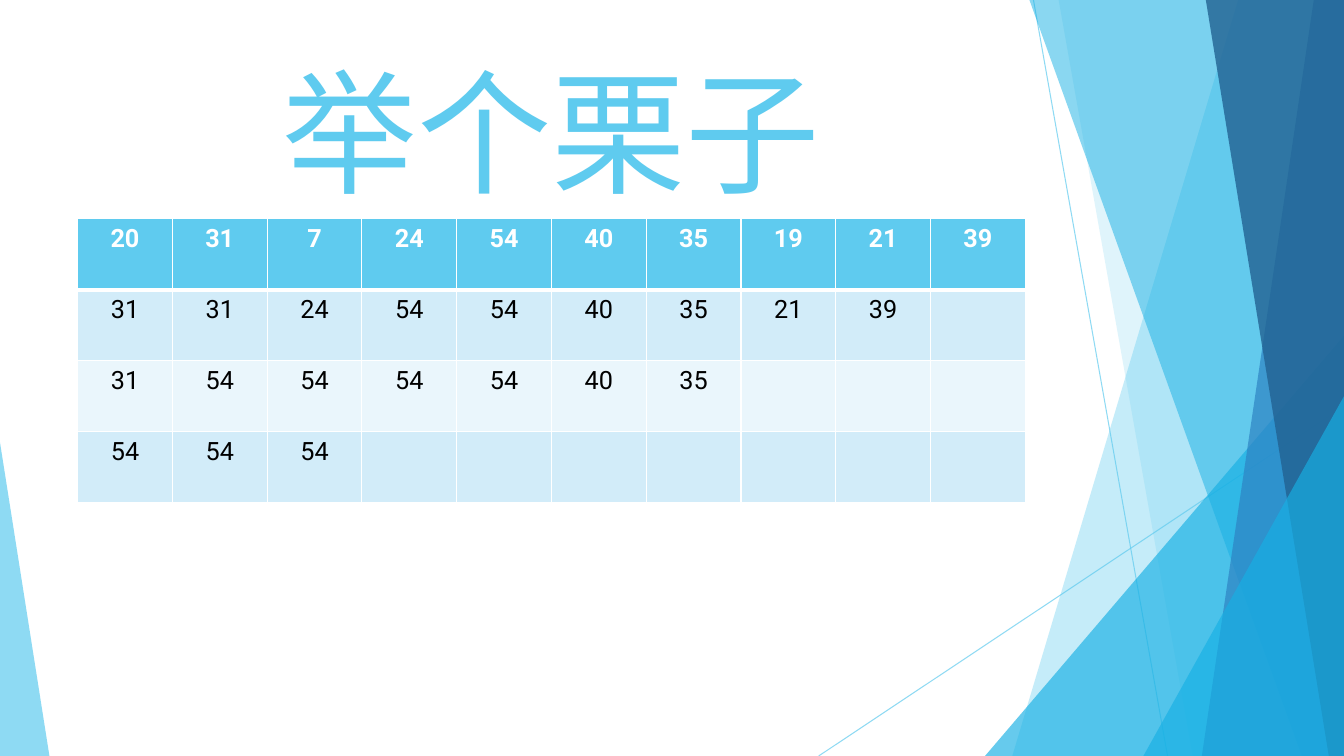
from dataclasses import dataclass

from lxml.etree import SubElement
from pptx import Presentation
from pptx.dml.color import RGBColor
from pptx.enum.shapes import MSO_CONNECTOR, MSO_SHAPE
from pptx.enum.text import MSO_ANCHOR, PP_ALIGN
from pptx.oxml.ns import qn
from pptx.util import Inches, Pt


@dataclass(frozen=True)
class Theme:
    sky: str = "5FCBEF"
    cyan: str = "17B0E4"
    blue: str = "2E83C3"
    navy: str = "226292"
    white: str = "FFFFFF"
    black: str = "000000"
    bands: tuple[str, str] = ("D2ECF9", "EAF6FC")
    font: str = "Roboto"
    title_size: int = 96
    cell_size: int = 18


@dataclass(frozen=True)
class Ray:
    start: tuple[float, float]
    end: tuple[float, float]


@dataclass(frozen=True)
class Facet:
    """A panel that runs from its slanted left side to the slide's right edge."""
    top_x: float
    bottom_x: float
    color: str
    opacity: int


@dataclass(frozen=True)
class Corner:
    """A right triangle standing on the slide's bottom edge."""
    left: float
    top: float
    width: float
    apex: float
    color: str
    opacity: int


THEME = Theme()
WIDTH, HEIGHT = 13.33, 7.5
LEFT, CONTENT_WIDTH = 0.77, 9.4

RAYS = [Ray((10.25, 0), (11.58, HEIGHT)), Ray((WIDTH, 4.03), (8.12, HEIGHT))]
DECORATION = [
    Facet(12.28, 10.04, THEME.sky, 36),
    Facet(10.5, 11.83, THEME.sky, 20),
    Corner(9.77, 3.33, 3.56, 1, THEME.cyan, 66),
    Facet(10.21, 12.91, THEME.cyan, 50),
    Facet(13.03, 11.92, THEME.blue, 70),
    Facet(11.96, 13.18, THEME.navy, 80),
    Corner(11.34, 3.93, 1.99, 1, THEME.cyan, 66),
    Corner(0, 4.39, 0.49, 0, THEME.sky, 70),
]
ROWS = [
    [20, 31, 7, 24, 54, 40, 35, 19, 21, 39],
    [31, 31, 24, 54, 54, 40, 35, 21, 39],
    [31, 54, 54, 54, 54, 40, 35],
    [54, 54, 54],
]


def set_opacity(properties, percent: int) -> None:
    color = next(properties.iter(qn("a:srgbClr")))
    SubElement(color, qn("a:alpha"), val=str(percent * 1000))


def paint(shape, color: str, opacity: int) -> None:
    shape.shadow.inherit = False
    shape.fill.solid()
    shape.fill.fore_color.rgb = RGBColor.from_string(color)
    set_opacity(shape.fill._xPr, opacity)
    shape.line.fill.background()


def draw_ray(page, ray: Ray) -> None:
    points = [Inches(value) for value in (*ray.start, *ray.end)]
    line = page.shapes.add_connector(MSO_CONNECTOR.STRAIGHT, *points)
    line.line.color.rgb = RGBColor.from_string(THEME.sky)
    line.line.width = Pt(0.75)
    set_opacity(line.line._ln, 70)
    SubElement(line._element.spPr, qn("a:effectLst"))


def draw_facet(page, facet: Facet) -> None:
    builder = page.shapes.build_freeform(Inches(facet.top_x), 0)
    corners = [(WIDTH, 0), (WIDTH, HEIGHT), (facet.bottom_x, HEIGHT)]
    builder.add_line_segments([(Inches(x), Inches(y)) for x, y in corners], close=True)
    paint(builder.convert_to_shape(), facet.color, facet.opacity)


def draw_corner(page, corner: Corner) -> None:
    shape = page.shapes.add_shape(
        MSO_SHAPE.ISOSCELES_TRIANGLE, Inches(corner.left), Inches(corner.top),
        Inches(corner.width), Inches(HEIGHT - corner.top))
    shape.adjustments[0] = corner.apex
    paint(shape, corner.color, corner.opacity)


def write(para, text: str, size: int, color: str, bold: bool = False) -> None:
    para.alignment = PP_ALIGN.CENTER
    span = para.add_run()
    span.text = text
    span.font.name = THEME.font
    span.font.size = Pt(size)
    span.font.bold = bold
    span.font.color.rgb = RGBColor.from_string(color)
    SubElement(span.font._element, qn("a:ea"), typeface=THEME.font)


def draw_title(page, text: str) -> None:
    box = page.shapes.add_textbox(
        Inches(LEFT), Inches(0.44), Inches(CONTENT_WIDTH), Inches(1.44))
    box.text_frame.word_wrap = True
    box.text_frame.vertical_anchor = MSO_ANCHOR.TOP
    write(box.text_frame.paragraphs[0], text, THEME.title_size, THEME.sky)


def add_border(cell, side: str, points: int) -> None:
    line = SubElement(cell._tc.get_or_add_tcPr(), qn(f"a:ln{side}"), w=str(Pt(points)))
    fill = SubElement(line, qn("a:solidFill"))
    SubElement(fill, qn("a:srgbClr"), val=THEME.white)


def draw_table(page, rows: list[list[int]]) -> None:
    column_count = len(rows[0])
    table = page.shapes.add_table(
        len(rows), column_count, Inches(LEFT), Inches(2.17),
        Inches(CONTENT_WIDTH), Inches(2.82)).table
    for row_index, values in enumerate(rows):
        header = row_index == 0
        fill = THEME.sky if header else THEME.bands[(row_index - 1) % 2]
        color = THEME.white if header else THEME.black
        for column in range(column_count):
            cell = table.cell(row_index, column)
            for side in "LRTB":
                heavy = (side == "B" and header) or (side == "T" and row_index == 1)
                add_border(cell, side, 3 if heavy else 1)
            cell.fill.solid()
            cell.fill.fore_color.rgb = RGBColor.from_string(fill)
            if column < len(values):
                write(cell.text_frame.paragraphs[0], str(values[column]),
                      THEME.cell_size, color, header)


deck = Presentation()
deck.slide_width, deck.slide_height = Inches(WIDTH), Inches(HEIGHT)
page = deck.slides.add_slide(deck.slide_layouts[6])

# Background decoration, back to front
for ray in RAYS:
    draw_ray(page, ray)
for piece in DECORATION:
    if isinstance(piece, Facet):
        draw_facet(page, piece)
    else:
        draw_corner(page, piece)

# Title and table of values
draw_title(page, "举个栗子")
draw_table(page, ROWS)

deck.save("out.pptx")
